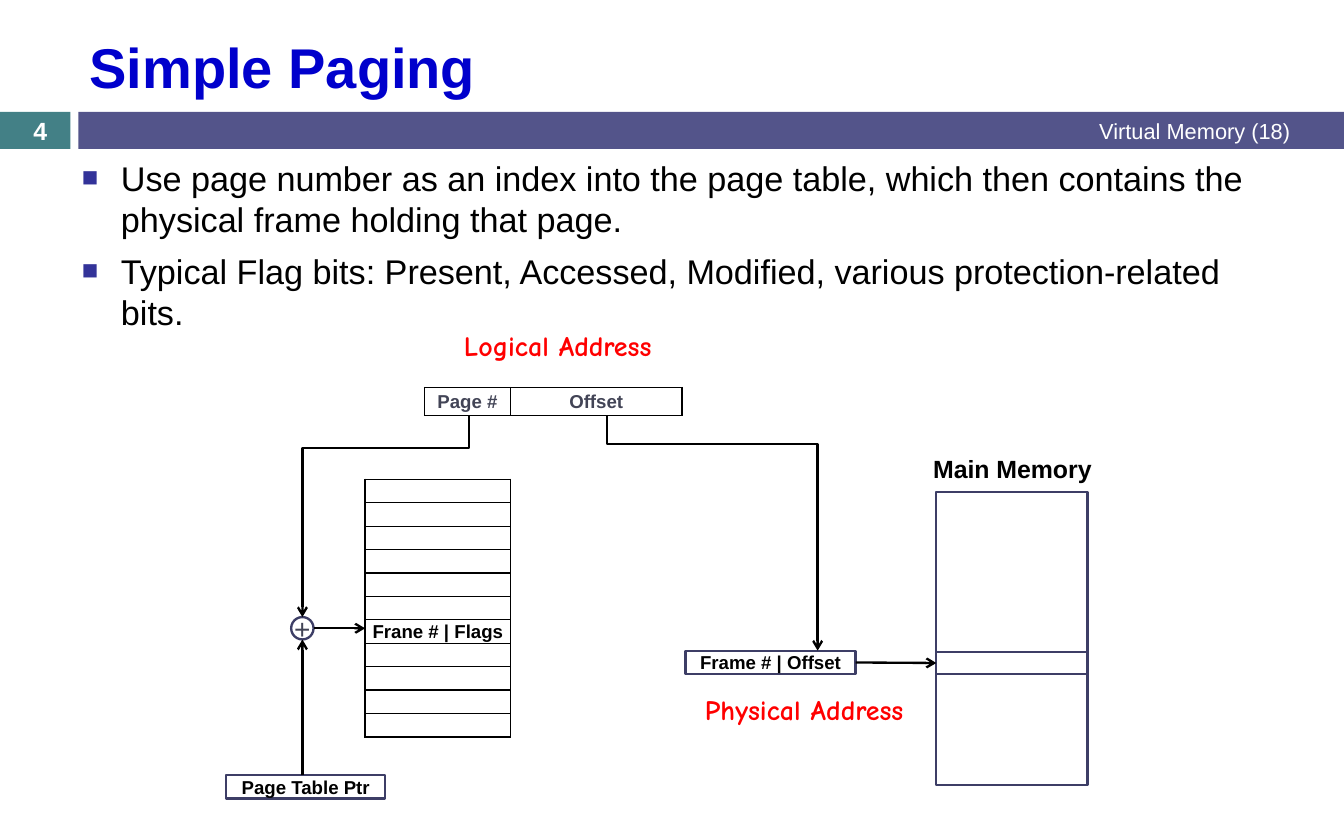
from lxml import etree
from pptx import Presentation
from pptx.dml.color import RGBColor
from pptx.enum.shapes import MSO_CONNECTOR, MSO_SHAPE
from pptx.enum.text import MSO_ANCHOR, PP_ALIGN
from pptx.oxml import parse_xml
from pptx.oxml.ns import nsdecls, qn
from pptx.util import Inches, Pt

RECT, OVAL = MSO_SHAPE.RECTANGLE, MSO_SHAPE.OVAL
STRAIGHT, ELBOW = MSO_CONNECTOR.STRAIGHT, MSO_CONNECTOR.ELBOW
LEFT, CENTER, RIGHT = PP_ALIGN.LEFT, PP_ALIGN.CENTER, PP_ALIGN.RIGHT
TOP, MIDDLE = MSO_ANCHOR.TOP, MSO_ANCHOR.MIDDLE
COLORS = {
    "title": "0000CC", "number": "438086", "band": "53548A", "bullet": "333399",
    "outline": "3D3E66", "label": "424456", "caption": "FF0000",
    "ink": "000000", "paper": "FFFFFF",
}
BODY_FONT, CAPTION_FONT = "Arial", "Comic Neue"
BULLETS = [
    "Use page number as an index into the page table, which then contains the "
    "physical frame holding that page.",
    "Typical Flag bits: Present, Accessed, Modified, various protection-related bits.",
]
PAGE_TABLE_ROWS, FRAME_ROW = 11, 6


def rgb(name):
    return RGBColor.from_string(COLORS[name])


def inches(box):
    return [Inches(length) for length in box]


def style(paragraph, size, color, bold=False, align=LEFT, font=BODY_FONT):
    paragraph.alignment = align
    paragraph.font.name, paragraph.font.size = font, Pt(size)
    paragraph.font.bold, paragraph.font.color.rgb = bold, rgb(color)


def write(frame, text, size, color, anchor=MIDDLE, wrap=True, **look):
    frame.text = text
    frame.word_wrap, frame.vertical_anchor = wrap, anchor
    style(frame.paragraphs[0], size, color, **look)


def add_label(slide, box, text, size, color, **look):
    write(slide.shapes.add_textbox(*inches(box)).text_frame, text, size, color, **look)


def add_block(slide, box, fill="paper", outline="outline", kind=RECT):
    block = slide.shapes.add_shape(kind, *inches(box))
    block.shadow.inherit = False
    block.fill.solid()
    block.fill.fore_color.rgb = rgb(fill)
    if outline:
        block.line.color.rgb, block.line.width = rgb(outline), Pt(1.5)
    else:
        block.line.fill.background()
    return block


def add_register(slide, box, text):
    register = add_block(slide, box)
    write(register.text_frame, text, 12, "ink", wrap=False, bold=True, align=CENTER)
    return register


def add_arrow(slide, start, end, kind=STRAIGHT):
    arrow = slide.shapes.add_connector(kind, *inches(start + end))
    arrow.line.color.rgb, arrow.line.width = rgb("ink"), Pt(1.5)
    etree.SubElement(arrow.line._get_or_add_ln(), qn("a:tailEnd"), type="arrow")
    etree.SubElement(arrow.element.spPr, qn("a:effectLst"))
    return arrow


def add_falling_elbow(slide, start, end, bend):
    """Arrow that goes down, across at the share bend of its height, then down."""
    (x1, y1), (x2, y2) = start, end
    mid_x, mid_y = (x1 + x2) / 2, (y1 + y2) / 2
    half_w, half_h = (y2 - y1) / 2, abs(x2 - x1) / 2
    side = 1 if x2 < x1 else -1
    arrow = add_arrow(slide, (mid_x - side * half_w, mid_y - half_h),
                      (mid_x + side * half_w, mid_y + half_h), ELBOW)
    properties = arrow.element.spPr
    properties.find(qn("a:xfrm")).set("rot", str((90 if side > 0 else 270) * 60000))
    guides = properties.find(qn("a:prstGeom")).find(qn("a:avLst"))
    etree.SubElement(guides, qn("a:gd"), name="adj1", fmla=f"val {round(bend * 100000)}")


def add_grid(slide, box, rows, shares):
    """Plain table of equal rows, its columns sized by shares of the width."""
    left, top, width, height = box
    table = slide.shapes.add_table(rows, len(shares), *inches(box)).table
    table.first_row = table.horz_banding = False
    for column, share in zip(table.columns, shares):
        column.width = Inches(width * share)
    for row in table.rows:
        row.height = Inches(height / rows)
    for cell in table.iter_cells():
        cell.margin_left = cell.margin_right = cell.margin_top = cell.margin_bottom = 0
        cell.vertical_anchor = MIDDLE
        etree.SubElement(cell.text_frame.paragraphs[0]._p, qn("a:endParaRPr"), sz="1200")
        properties = cell._tc.get_or_add_tcPr()
        for edge in ("lnL", "lnR", "lnT", "lnB"):
            properties.append(parse_xml(
                f'<a:{edge} {nsdecls("a")} w="12700"><a:solidFill>'
                f'<a:srgbClr val="{COLORS["ink"]}"/></a:solidFill></a:{edge}>'))
        cell.fill.solid()
        cell.fill.fore_color.rgb = rgb("paper")
    return table


def fill_cell(cell, text, color):
    cell.text = text
    style(cell.text_frame.paragraphs[0], 12, color, bold=True, align=CENTER)


def place(placeholder, box):
    placeholder.left, placeholder.top, placeholder.width, placeholder.height = inches(box)


def add_header(slide, box):
    left, top, width, height = box
    gutter = 0.7
    add_block(slide, (left, top, 0.63, height), "number", None)
    add_block(slide, (gutter, top, width - gutter, height), "band", None)
    add_label(slide, (left, top + 0.02, 0.72, 0.3), "4", 16, "paper",
              bold=True, align=CENTER)
    add_label(slide, (6.17, top, 5.45, height), "Virtual Memory (18)", 14, "paper",
              align=RIGHT)
    place(slide.shapes.title, (gutter, 0.19, 10.91, 0.8))
    write(slide.shapes.title.text_frame, "Simple Paging", 36, "title", bold=True)


def add_bullets(slide, box):
    body = slide.placeholders[1]
    place(body, box)
    frame = body.text_frame
    frame.text = "\n".join(BULLETS)
    frame.vertical_anchor = TOP
    for paragraph in frame.paragraphs:
        style(paragraph, 22, "ink")
        paragraph.space_before = Pt(7)
        properties = paragraph._p.get_or_add_pPr()
        properties.set("marL", str(Inches(0.35)))
        properties.set("indent", str(-Inches(0.35)))
        marks = [
            f'<a:buClr {nsdecls("a")}><a:srgbClr val="{COLORS["bullet"]}"/></a:buClr>',
            f'<a:buSzPct {nsdecls("a")} val="80000"/>',
            f'<a:buChar {nsdecls("a")} char="■"/>',
        ]
        text_defaults = properties.find(qn("a:defRPr"))
        for mark in marks:
            text_defaults.addprevious(parse_xml(mark))


def add_logical_address(slide, box):
    left, top, width, height = box
    add_label(slide, (left, top - 0.58, 2.38, 0.4), "Logical Address", 18, "caption",
              anchor=TOP, bold=True, align=CENTER, font=CAPTION_FONT)
    address = add_grid(slide, box, 1, (1 / 3, 2 / 3))
    for column, text in enumerate(("Page #", "Offset")):
        fill_cell(address.cell(0, column), text, "label")


def add_page_table(slide, box):
    """Page table with the adder and the pointer that select its row."""
    left, top, width, height = box
    table = add_grid(slide, box, PAGE_TABLE_ROWS, (1,))
    fill_cell(table.cell(FRAME_ROW, 0), "Frane # | Flags", "ink")
    add_register(slide, (2.02, 6.92, 1.42, 0.21), "Page Table Ptr")
    adder = add_block(slide, (2.6, 5.51, 0.2, 0.2), kind=OVAL)
    write(adder.text_frame, "+", 18, "label", wrap=False, align=CENTER)
    add_falling_elbow(slide, (4.19, 3.71), (2.7, 5.51), 0.16)
    add_arrow(slide, (2.8, 5.61), (left, 5.61))
    add_arrow(slide, (2.7, 6.92), (2.7, 5.71))


def add_main_memory(slide, box):
    """Main memory with the physical address that points into it."""
    left, top, width, height = box
    add_label(slide, (left - 0.24, top - 0.39, 1.84, 0.37), "Main Memory", 16, "ink",
              anchor=TOP, bold=True, align=CENTER)
    add_block(slide, box)
    frame = add_block(slide, (left, 5.82, width, 0.2))
    address = add_register(slide, (6.12, 5.81, 1.52, 0.21), "Frame # | Offset")
    add_falling_elbow(slide, (5.42, 3.71), (7.3, 5.81), 0.12)
    pointer = add_arrow(slide, (7.64, 5.91), (left, 5.91))
    pointer.begin_connect(address, 3)
    pointer.end_connect(frame, 1)
    add_label(slide, (5.99, 6.13, 2.38, 0.4), "Physical Address", 18, "caption",
              anchor=TOP, bold=True, align=CENTER, font=CAPTION_FONT)


def main():
    deck = Presentation()
    deck.slide_width, deck.slide_height = Inches(12), Inches(7.5)
    slide = deck.slides.add_slide(deck.slide_layouts[1])
    add_header(slide, (0, 1, 12, 0.33))
    add_bullets(slide, (0.63, 1.35, 10.99, 1.68))
    add_logical_address(slide, (3.79, 3.46, 2.3, 0.25))
    add_page_table(slide, (3.26, 4.28, 1.3, 2.3))
    add_main_memory(slide, (8.36, 4.39, 1.35, 2.62))
    deck.save("out.pptx")


if __name__ == "__main__":
    main()
